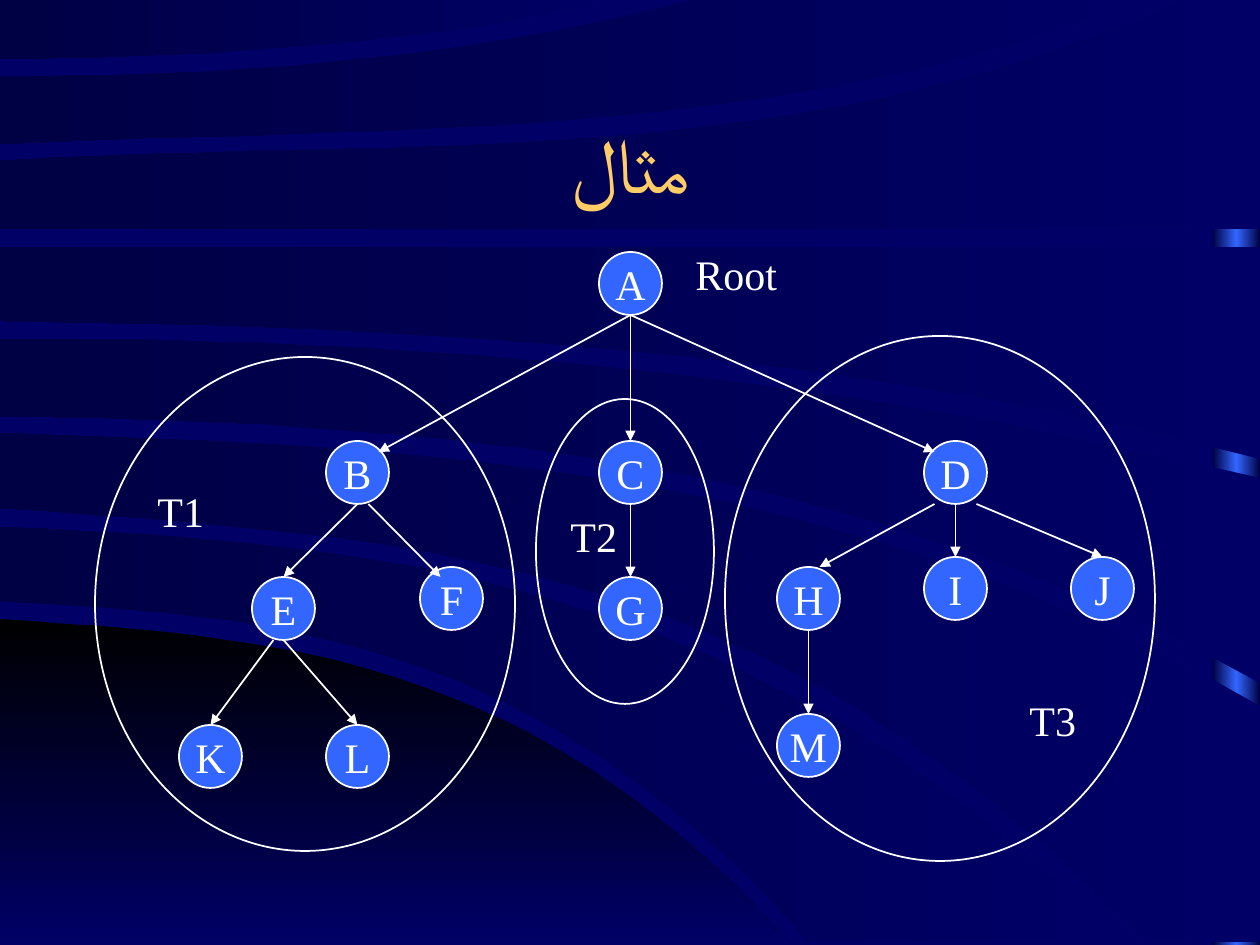
from copy import deepcopy
from math import prod

from lxml import etree
from pptx import Presentation
from pptx.dml.color import RGBColor
from pptx.enum.shapes import MSO_CONNECTOR, MSO_SHAPE
from pptx.enum.text import MSO_ANCHOR, MSO_AUTO_SIZE, PP_ALIGN
from pptx.oxml.ns import qn
from pptx.util import Emu, Pt

STRAIGHT = MSO_CONNECTOR.STRAIGHT
OVAL, RECTANGLE = MSO_SHAPE.OVAL, MSO_SHAPE.RECTANGLE
MIDDLE, TOP = MSO_ANCHOR.MIDDLE, MSO_ANCHOR.TOP
LEFT, CENTER = PP_ALIGN.LEFT, PP_ALIGN.CENTER
FIT_SHAPE, NO_FIT = MSO_AUTO_SIZE.SHAPE_TO_FIT_TEXT, MSO_AUTO_SIZE.NONE

PX = 914400 / 126
WIDTH, HEIGHT = 1260, 945
NODE_SIZE = 63
CURVE_STEPS = 24
FONT = "Times New Roman"

BLACK = RGBColor(0x00, 0x00, 0x00)
NAVY = RGBColor(0x00, 0x00, 0x66)
DEEP_NAVY = RGBColor(0x00, 0x00, 0x44)
BLUE = RGBColor(0x33, 0x66, 0xFF)
WHITE = RGBColor(0xFF, 0xFF, 0xFF)
GOLD = RGBColor(0xFF, 0xCC, 0x66)

HILL = [(0, 619), (275, 648), (582, 764), (791, HEIGHT)]
BANDS = [
    ([(0, 527), (314, 551), (707, 655), (1125, 942)], [],
     [(0, 601), (233, 621), (524, 712), (809, 942)]),
    ([(0, 433), (364, 451), (827, 527), (WIDTH, 706)], [(WIDTH, 942)],
     [(0, 508), (392, 546), (801, 677), (1145, 942)]),
    ([(0, 339), (379, 349), (713, 379), (WIDTH, 478)], [],
     [(0, 416), (321, 428), (808, 503), (WIDTH, 683)]),
    ([(0, 247), (WIDTH, 247)], [],
     [(0, 321), (490, 339), (885, 382), (WIDTH, 459)]),
    ([(0, 161), (469, 145), (925, 88), (1188, -3)], [(WIDTH, -3)],
     [(0, 229), (WIDTH, 229)]),
    ([(0, 77), (248, 69), (437, 50), (701, -3)], [],
     [(0, 144), (480, 126), (861, 81), (1155, -3)]),
    ([(0, -3)], [], [(0, 59), (255, 50), (436, 32), (631, -3)]),
]

NODE_ROWS = [
    (252, {"A": 599}),
    (557, {"J": 1071, "I": 924}),
    (567, {"H": 777, "F": 420}),
    (441, {"D": 924, "C": 599, "B": 326}),
    (577, {"G": 599, "E": 252}),
    (725, {"K": 179, "L": 326}),
    (714, {"M": 777}),
]
EDGES = "AB AC AD BE BF CG DH DI DJ EK EL HM".split()
START_SHIFTS = {"BF": 11, "DH": -21, "DJ": 21, "EK": -10}
END_SHIFTS = {"AB": (21, 11), "AD": (-21, 11), "BF": (-11, 10), "DH": (11, 0)}
SUBTREES = [(95, 357, 420, 494), (536, 399, 178, 305), (725, 336, 430, 525)]
LABELS = [
    ("T1", 145, 479, 72), ("T2", 558, 504, 72),
    ("T3", 1017, 688, 72), ("Root", 683, 242, 107),
]


def px(*lengths):
    """Turn pixel lengths into EMU."""
    return [Emu(round(length * PX)) for length in lengths]


def trace_curve(knots):
    """Return points of the polynomial that passes through the knots."""
    if len(knots) < 3:
        return knots
    first, last = knots[0][0], knots[-1][0]
    points = []
    for step in range(CURVE_STEPS + 1):
        x = first + (last - first) * step / CURVE_STEPS
        y = sum(
            height * prod((x - other) / (knot - other)
                          for other, _ in knots if other != knot)
            for knot, height in knots
        )
        points.append((x, y))
    return points


def fill_gradient(shape, colors, angle):
    """Give a shape an even gradient and no outline."""
    shape.shadow.inherit = False
    shape.line.fill.background()
    shape.fill.gradient()
    shape.fill.gradient_angle = angle
    first = shape.fill._fill._gradFill.find(qn("a:gsLst"))[0]
    for _ in colors[2:]:
        first.addnext(deepcopy(first))
    for index, (stop, color) in enumerate(zip(shape.fill.gradient_stops, colors)):
        stop.position = index / (len(colors) - 1)
        stop.color.rgb = color


def add_band(page, upper, corner, lower, *, colors, angle):
    """Draw the region between two curves with a gradient fill."""
    points = trace_curve(upper) + corner + trace_curve(lower)[::-1]
    builder = page.shapes.build_freeform(*points[0], scale=PX)
    builder.add_line_segments(points[1:], close=True)
    fill_gradient(builder.convert_to_shape(), colors, angle)


def write_text(shape, text, *, size=24, color=WHITE, align=LEFT, anchor=TOP,
               wrap=False, fit=NO_FIT):
    """Write one formatted line into a shape."""
    frame = shape.text_frame
    frame.word_wrap = wrap
    frame.auto_size = fit
    frame.vertical_anchor = anchor
    para = frame.paragraphs[0]
    para.alignment = align
    span = para.add_run()
    span.text = text
    span.font.name = FONT
    span.font.size = Pt(size)
    span.font.color.rgb = color


def add_text(page, text, place, **style):
    """Add a text box holding one line."""
    write_text(page.shapes.add_textbox(*px(*place)), text, **style)


def add_oval(page, place):
    """Add an unfilled oval with a white outline."""
    oval = page.shapes.add_shape(OVAL, *px(*place))
    oval.shadow.inherit = False
    oval.fill.background()
    oval.line.color.rgb = WHITE
    oval.line.width = Pt(1)
    return oval


def add_node(page, name, left, top):
    """Add a filled tree node with its letter."""
    node = add_oval(page, (left, top, NODE_SIZE, NODE_SIZE))
    node.fill.solid()
    node.fill.fore_color.rgb = BLUE
    write_text(node, name, align=CENTER, anchor=MIDDLE)
    return node


def add_arrow(page, start, end):
    """Add a white arrow between two points."""
    arrow = page.shapes.add_connector(STRAIGHT, *start, *end)
    arrow.line.color.rgb = WHITE
    arrow.line.width = Pt(1)
    etree.SubElement(arrow.line._get_or_add_ln(), qn("a:tailEnd"), type="triangle")
    etree.SubElement(arrow._element.spPr, qn("a:effectLst"))
    return arrow


def add_backdrop(page):
    """Paint the background, the side strip and the curved bands."""
    page.background.fill.solid()
    page.background.fill.fore_color.rgb = NAVY
    strip = page.shapes.add_shape(RECTANGLE, *px(1213, 0, 47, HEIGHT))
    fill_gradient(strip, [DEEP_NAVY, BLUE, DEEP_NAVY], 180)
    add_band(page, HILL, [], [(0, HEIGHT)], colors=[BLACK, NAVY], angle=270)
    for band in BANDS:
        add_band(page, *band, colors=[NAVY, DEEP_NAVY], angle=180)


def add_tree(page):
    """Add the nodes and the arrows from parent to child."""
    nodes = {name: add_node(page, name, left, top)
             for top, row in NODE_ROWS for name, left in row.items()}
    for edge in EDGES:
        parent, child = (nodes[name] for name in edge)
        start_shift = px(START_SHIFTS.get(edge, 0))[0]
        right, down = px(*END_SHIFTS.get(edge, (0, 0)))
        start = (parent.left + parent.width // 2 + start_shift,
                 parent.top + parent.height)
        end = (child.left + child.width // 2 + right, child.top + down)
        arrow = add_arrow(page, start, end)
        if edge not in END_SHIFTS:
            arrow.end_connect(child, 0)


def main():
    """Build the slide and save it."""
    deck = Presentation()
    deck.slide_width, deck.slide_height = px(WIDTH, HEIGHT)
    page = deck.slides.add_slide(deck.slide_layouts[6])
    add_backdrop(page)
    add_text(page, "مثال", (95, 84, 1071, 158), size=44, color=GOLD,
             align=CENTER, anchor=MIDDLE, wrap=True)
    add_tree(page)
    for place in SUBTREES:
        add_oval(page, place)
    for text, left, top, width in LABELS:
        add_text(page, text, (left, top, width, NODE_SIZE), fit=FIT_SHAPE)
    deck.save("out.pptx")


if __name__ == "__main__":
    main()
